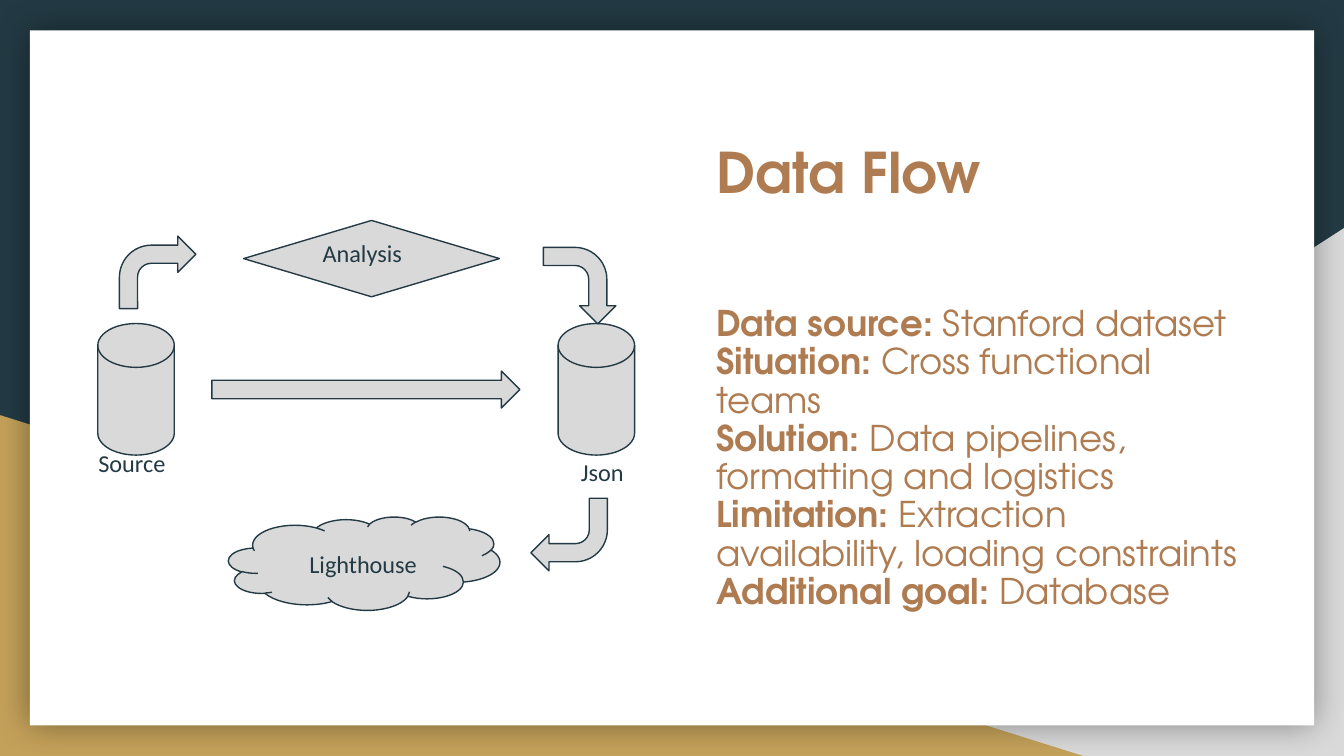
from dataclasses import dataclass

from lxml import etree
from pptx import Presentation
from pptx.dml.color import RGBColor
from pptx.enum import shapes, text
from pptx.oxml import ns
from pptx.util import Pt

SHAPE = shapes.MSO_SHAPE


@dataclass(frozen=True)
class Theme:
    navy: RGBColor = RGBColor.from_string("233A44")
    gold: RGBColor = RGBColor.from_string("C4A15A")
    grey: RGBColor = RGBColor.from_string("D9D9D9")
    white: RGBColor = RGBColor.from_string("FFFFFF")
    copper: RGBColor = RGBColor.from_string("AF7B51")
    heading_font: str = "TeX Gyre Adventor"
    label_font: str = "Calibri"
    title_size: float = 30
    body_size: float = 19
    label_size: float = 13
    outline: float = 0.75
    inset: float = 7.2


THEME = Theme()

POINTS = [
    ("Data source:", "Stanford dataset"),
    ("Situation:", "Cross functional teams"),
    ("Solution:", "Data pipelines, formatting and logistics"),
    ("Limitation:", "Extraction availability, loading constraints"),
    ("Additional goal:", "Database"),
]


def in_points(*lengths):
    return [Pt(length) for length in lengths]


def add_solid(slide, kind, box, fill):
    solid = slide.shapes.add_shape(kind, *in_points(*box))
    solid.shadow.inherit = False
    solid.fill.solid()
    solid.fill.fore_color.rgb = fill
    solid.line.fill.background()
    return solid


def add_glow(card, blur, opacity):
    """Give the card an even dark shadow on all sides."""
    effects = card._element.spPr.find(ns.qn("a:effectLst"))
    shadow = etree.SubElement(effects, ns.qn("a:outerShdw"),
                              blurRad=str(Pt(blur)), dist="0", dir="0",
                              algn="ctr", rotWithShape="0")
    colour = etree.SubElement(shadow, ns.qn("a:srgbClr"), val="000000")
    etree.SubElement(colour, ns.qn("a:alpha"), val=str(opacity * 1000))


def add_backdrop(slide):
    background = slide.background.fill
    background.solid()
    background.fore_color.rgb = THEME.navy
    right_corner = add_solid(slide, SHAPE.RIGHT_TRIANGLE,
                             (282.2, 122.2, 437.8, 282.8), THEME.grey)
    right_corner._element.spPr.xfrm.set("flipH", "1")
    add_solid(slide, SHAPE.RIGHT_TRIANGLE, (0, 222.4, 580.3, 182.6), THEME.gold)
    card = add_solid(slide, SHAPE.RECTANGLE, (16, 16.3, 688, 372.4), THEME.white)
    add_glow(card, blur=18, opacity=40)


def add_node(slide, kind, box):
    node = add_solid(slide, kind, box, THEME.grey)
    node.line.color.rgb = THEME.navy
    node.line.width = Pt(THEME.outline)
    return node


def add_bent_arrow(slide, left, top, rotation):
    arrow = add_node(slide, SHAPE.BENT_ARROW, (left, top, 41, 38.9))
    arrow.adjustments[3] = 0.44
    arrow.rotation = rotation


def set_frame(frame):
    """Apply the common insets, wrapping and top anchor."""
    frame.word_wrap = True
    frame.auto_size = text.MSO_AUTO_SIZE.NONE
    frame.vertical_anchor = text.MSO_ANCHOR.TOP
    frame.margin_left = frame.margin_right = Pt(THEME.inset)
    frame.margin_top = frame.margin_bottom = Pt(THEME.inset)


def set_font(font, name, size, colour):
    font.name, font.size = name, Pt(size)
    font.color.rgb = colour


def add_label(slide, words, box):
    frame = slide.shapes.add_textbox(*in_points(*box)).text_frame
    set_frame(frame)
    paragraph = frame.paragraphs[0]
    paragraph.text = words
    set_font(paragraph.font, THEME.label_font, THEME.label_size, THEME.navy)


def add_flow(slide):
    for left in (52.4, 299):
        add_node(slide, SHAPE.FLOWCHART_MAGNETIC_DISK, (left, 173.3, 41, 70.5))
    add_node(slide, SHAPE.DIAMOND, (130.5, 118.1, 137.1, 40.9))
    add_node(slide, SHAPE.CLOUD, (122.4, 276.9, 145.4, 50))

    add_bent_arrow(slide, 64, 126.5, 0)
    add_bent_arrow(slide, 290, 133.6, 90)
    add_node(slide, SHAPE.RIGHT_ARROW, (113.5, 198.8, 165, 19.8))
    add_bent_arrow(slide, 284.4, 266.9, 180)

    add_label(slide, "Source", (45.6, 232.9, 334.8, 30))
    add_label(slide, "Analysis", (165.8, 120.6, 76.3, 19.4))
    add_label(slide, "Json", (304.1, 238, 95, 30))
    add_label(slide, "Lighthouse", (158.6, 287.1, 231.1, 30))


def place(slide, holder, box):
    """Move a placeholder to its box, in front of the backdrop."""
    holder.left, holder.top, holder.width, holder.height = in_points(*box)
    slide.shapes._spTree.append(holder._element)
    set_frame(holder.text_frame)
    return holder.text_frame


def fill_title(slide, words):
    frame = place(slide, slide.shapes.title, (376.5, 66.5, 268.6, 74.9))
    heading = frame.paragraphs[0]
    heading.text = words
    heading.alignment = text.PP_ALIGN.LEFT
    set_font(heading.font, THEME.heading_font, THEME.title_size, THEME.copper)
    heading.font.bold = True


def fill_points(slide, points):
    frame = place(slide, slide.placeholders[1], (376.5, 156.6, 295.2, 193))
    for index, (term, detail) in enumerate(points):
        point = frame.add_paragraph() if index else frame.paragraphs[0]
        point.line_spacing = 0.9
        point.space_before = Pt(0)
        properties = point._p.get_or_add_pPr()
        properties.set("marL", "0")
        properties.set("indent", "0")
        etree.SubElement(properties, ns.qn("a:buNone"))
        set_font(point.font, THEME.heading_font, THEME.body_size, THEME.copper)
        for words, bold in ((term, True), (f" {detail}", False)):
            run = point.add_run()
            run.text = words
            run.font.bold = bold


def main():
    deck = Presentation()
    deck.slide_width, deck.slide_height = in_points(720, 405)
    slide = deck.slides.add_slide(deck.slide_layouts[1])
    add_backdrop(slide)
    add_flow(slide)
    fill_title(slide, "Data Flow")
    fill_points(slide, POINTS)
    deck.save("out.pptx")


if __name__ == "__main__":
    main()
